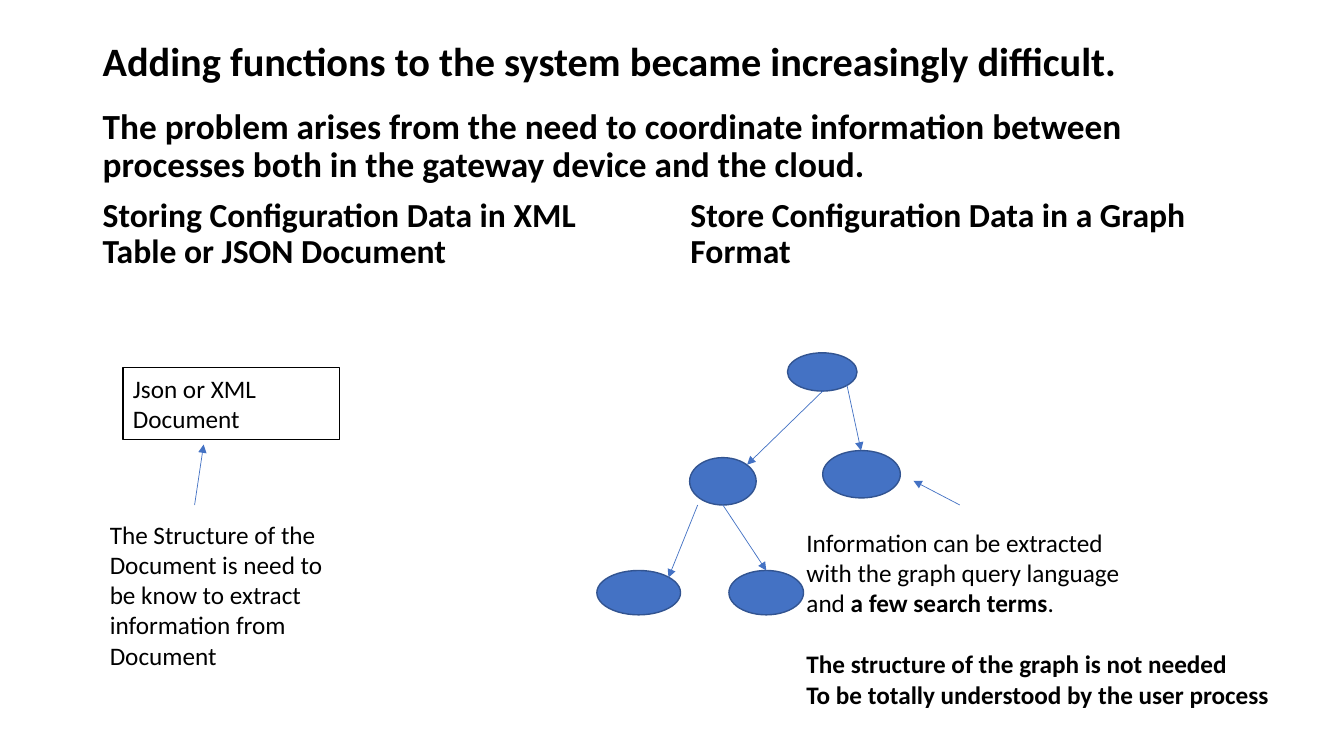
"""Build the slide comparing document and graph storage of configuration data."""
from pptx import Presentation
from pptx import util as u
from pptx.dml.color import RGBColor
from pptx.enum import shapes, text
from pptx.oxml.ns import qn
from lxml import etree

PX = 9144
BLACK, BLUE, DARK_BLUE = "000000", "4472C4", "325491"


def color(value):
    return RGBColor.from_string(value)


def write(shape, paragraphs, anchor=text.MSO_ANCHOR.TOP, line_spacing=1.0, wrap=True):
    frame = shape.text_frame
    frame.word_wrap = wrap
    frame.vertical_anchor = anchor
    for index, (space_before, runs) in enumerate(paragraphs):
        paragraph = frame.paragraphs[0] if index == 0 else frame.add_paragraph()
        paragraph.alignment = text.PP_ALIGN.LEFT
        paragraph.line_spacing = line_spacing
        paragraph.space_before = u.Pt(space_before)
        for words, size, bold in runs:
            run = paragraph.add_run()
            run.text = words
            run.font.name = "Calibri"
            run.font.size = u.Pt(size)
            run.font.bold = bold
            run.font.color.rgb = color(BLACK)


presentation = Presentation()
presentation.slide_width = 1333 * PX
presentation.slide_height = 750 * PX
slide = presentation.slides.add_slide(presentation.slide_layouts[6])

title = slide.shapes.add_textbox(92 * PX, 40 * PX, 1150 * PX, 145 * PX)
title.text_frame.margin_top = title.text_frame.margin_bottom = 0
write(title, [
    (0, [("Adding functions to the system became increasingly difficult.", 28.8, True)]),
    (17, [("The problem arises from the need to coordinate information between "
           "processes both in the gateway device and the cloud.", 25.2, True)]),
], text.MSO_ANCHOR.MIDDLE, 0.9)

headings = [
    (92, 564, "Storing Configuration Data in XML Table or JSON Document"),
    (675, 567, "Store Configuration Data in a Graph Format"),
]
for left, width, words in headings:
    heading = slide.shapes.add_textbox(left * PX, 184 * PX, width * PX, 90 * PX)
    write(heading, [(0, [(words, 24, True)])], text.MSO_ANCHOR.BOTTOM, 0.9)

document = slide.shapes.add_textbox(122 * PX, 365 * PX, 215 * PX, 71 * PX)
document.line.color.rgb = color(BLACK)
document.line.width = u.Pt(0.75)
write(document, [(0, [("Json or XML Document", 18, False)])])

document_note = slide.shapes.add_textbox(99 * PX, 510 * PX, 261 * PX, 162 * PX)
write(document_note, [(0, [("The Structure of the Document is need to be know to extract "
                            "information from Document", 18, False)])])

nodes = [
    (781, 350, 69, 38),
    (684, 454, 66, 47),
    (816, 447, 77, 47),
    (592, 566, 83, 44),
    (723, 566, 74, 44),
]
for bounds in nodes:
    node = slide.shapes.add_shape(shapes.MSO_SHAPE.OVAL, *(value * PX for value in bounds))
    node.shadow.inherit = False
    node.fill.solid()
    node.fill.fore_color.rgb = color(BLUE)
    node.line.color.rgb = color(DARK_BLUE)
    node.line.width = u.Pt(1)

arrows = [
    (193, 501, 202, 441),
    (816, 388, 741, 461),
    (840, 382, 854, 447),
    (692, 501, 663, 573),
    (717, 501, 760, 566),
    (952, 501, 906, 477),
]
for ends in arrows:
    arrow = slide.shapes.add_connector(
        shapes.MSO_CONNECTOR.STRAIGHT, *(value * PX for value in ends))
    arrow.line.color.rgb = color(BLUE)
    arrow.line.width = u.Pt(0.5)
    etree.SubElement(arrow.line._get_or_add_ln(), qn("a:tailEnd"), type="triangle")
    etree.SubElement(arrow._element.spPr, qn("a:effectLst"))

graph_note = slide.shapes.add_textbox(790 * PX, 518 * PX, 482 * PX, 192 * PX)
write(graph_note, [
    (0, [("Information can be extracted", 18, False)]),
    (0, [("with the graph query language", 18, False)]),
    (0, [("and ", 18, False), ("a few search terms", 18, True), (".", 18, False)]),
    (22, [("The structure of the graph is not needed", 18, True)]),
    (0, [("To be totally understood by the user process", 18, True)]),
], wrap=False)

presentation.save("out.pptx")
